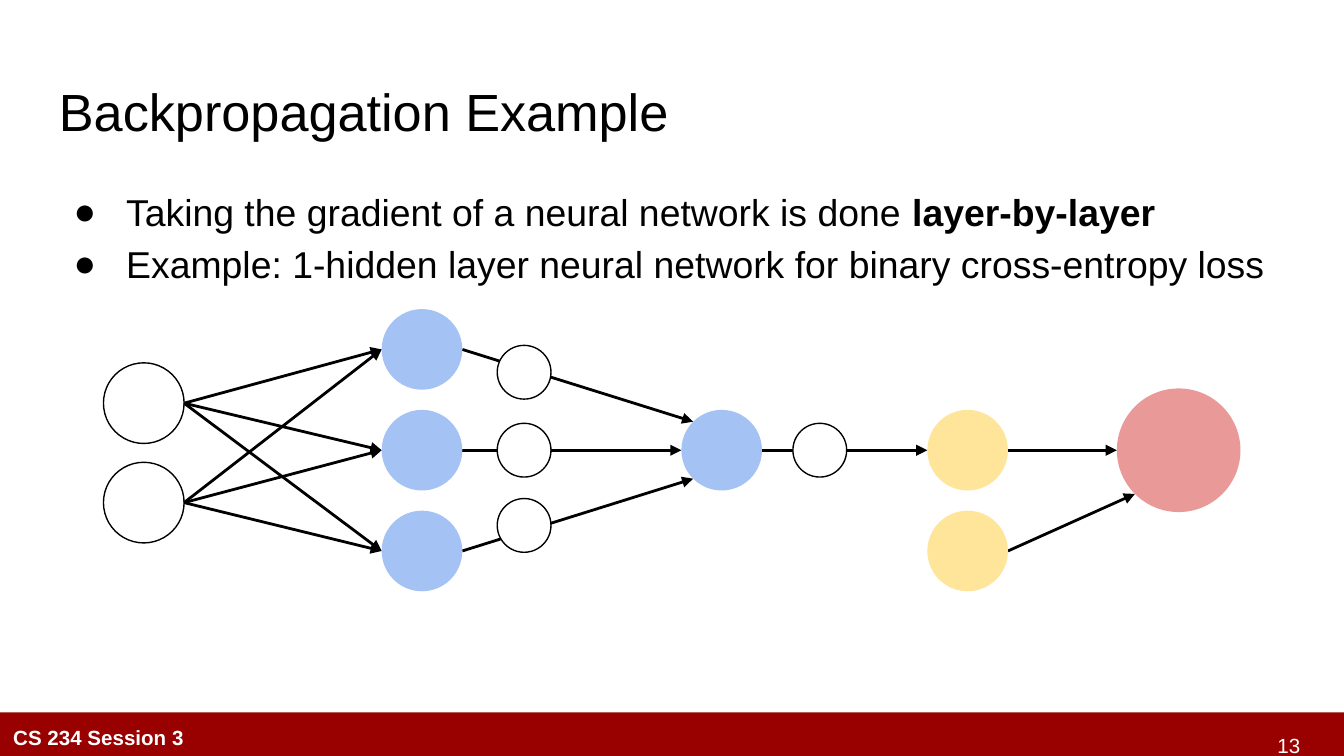
import math

import lxml.etree
import pptx
import pptx.dml.color
import pptx.enum.shapes
import pptx.enum.text
import pptx.oxml.ns
import pptx.util

Inches = pptx.util.Inches
Pt = pptx.util.Pt
Anchor = pptx.enum.text.MSO_ANCHOR
Align = pptx.enum.text.PP_ALIGN

THEME = {
    "font": "Arial", "title": 28, "body": 20, "footer": 11,
    "ink": "000000", "paper": "FFFFFF", "band": "990000",
    "neuron": "A4C2F4", "target": "FFE599", "loss": "EA9999",
    "outline": 0.75, "edge": 1.5,
}

TITLE = "Backpropagation Example"
BULLETS = [
    [("Taking the gradient of a neural network is done ", False), ("layer-by-layer", True)],
    [("Example: 1-hidden layer neural network for binary cross-entropy loss", False)],
]
SESSION = "CS 234 Session 3"
PAGE = "13"

SLIDE_WIDTH = 10
SLIDE_HEIGHT = SLIDE_WIDTH * 9 / 16

ROW, ROW_GAP = 3.35, 0.75
HIDDEN_ROWS = [ROW + step * ROW_GAP for step in (-1, 0, 1)]
INPUTS = [(1.07, 3.0, 0.6), (1.07, 3.74, 0.6)]
HIDDEN = [(3.14, y, 0.6) for y in HIDDEN_ROWS]
OUTPUT = (5.37, ROW, 0.6)
PREDICTION = (7.2, ROW, 0.6)
LABEL = (7.2, ROW + ROW_GAP, 0.6)
LOSS = (8.77, ROW, 0.92)
ACTIVATIONS = [(3.9, 2.77, 0.4), (3.9, ROW, 0.4), (3.9, 3.91, 0.4), (6.1, ROW, 0.4)]

LEFT, UPPER_LEFT, LOWER_LEFT = 180, 225, 135
EDGES = [(source, neuron, LEFT) for source in INPUTS for neuron in HIDDEN]
EDGES += [(neuron, OUTPUT, side) for neuron, side in zip(HIDDEN, (UPPER_LEFT, LEFT, LOWER_LEFT))]
EDGES += [(OUTPUT, PREDICTION, LEFT), (PREDICTION, LOSS, LEFT), (LABEL, LOSS, LOWER_LEFT)]

NODES = [(INPUTS, None, True), (HIDDEN + [OUTPUT], "neuron", False),
         ([PREDICTION, LABEL], "target", False), ([LOSS], "loss", False),
         (ACTIVATIONS, "paper", True)]


def color(role):
    return pptx.dml.color.RGBColor.from_string(THEME[role])


def add_child(parent, tag, **attributes):
    return lxml.etree.SubElement(parent, pptx.oxml.ns.qn(tag), attributes)


def add_text(slide, paragraphs, box, size, ink="ink", align=Align.LEFT,
             anchor=Anchor.TOP, bottom=0.1, spacing=1.0, bullet=None):
    frame = slide.shapes.add_textbox(*map(Inches, box)).text_frame
    frame.word_wrap = True
    frame.vertical_anchor = anchor
    frame.margin_left = frame.margin_right = frame.margin_top = Inches(0.1)
    frame.margin_bottom = Inches(bottom)
    for index, runs in enumerate(paragraphs):
        paragraph = frame.add_paragraph() if index else frame.paragraphs[0]
        paragraph.alignment = align
        paragraph.line_spacing = spacing
        if bullet:
            properties = paragraph._p.get_or_add_pPr()
            properties.set("marL", str(Inches(0.5)))
            properties.set("indent", str(Inches(-0.39)))
            add_child(add_child(properties, "a:buClr"), "a:srgbClr", val=THEME[ink])
            add_child(properties, "a:buFont", typeface=THEME["font"])
            add_child(properties, "a:buChar", char=bullet)
        for text, bold in runs:
            run = paragraph.add_run()
            run.text = text
            run.font.name = THEME["font"]
            run.font.size = Pt(THEME[size])
            run.font.bold = bold
            run.font.color.rgb = color(ink)


def add_filled(slide, preset, box, fill, outlined=False):
    shape = slide.shapes.add_shape(preset, *map(Inches, box))
    shape.shadow.inherit = False
    if fill:
        shape.fill.solid()
        shape.fill.fore_color.rgb = color(fill)
    else:
        shape.fill.background()
    if outlined:
        shape.line.color.rgb = color("ink")
        shape.line.width = Pt(THEME["outline"])
    else:
        shape.line.fill.background()


def rim(node, degrees):
    x, y, diameter = node
    angle = math.radians(degrees)
    return (Inches(x + diameter / 2 * math.cos(angle)),
            Inches(y + diameter / 2 * math.sin(angle)))


def add_edge(slide, source, goal, side):
    edge = slide.shapes.add_connector(
        pptx.enum.shapes.MSO_CONNECTOR.STRAIGHT, *rim(source, 0), *rim(goal, side))
    edge.line.color.rgb = color("ink")
    edge.line.width = Pt(THEME["edge"])
    add_child(edge.line._get_or_add_ln(), "a:tailEnd", type="triangle")
    add_child(edge._element.spPr, "a:effectLst")


def main():
    """Build the backpropagation example slide."""
    deck = pptx.Presentation()
    deck.slide_width, deck.slide_height = Inches(SLIDE_WIDTH), Inches(SLIDE_HEIGHT)
    slide = deck.slides.add_slide(deck.slide_layouts[6])
    presets = pptx.enum.shapes.MSO_SHAPE

    add_filled(slide, presets.RECTANGLE, (-0.02, 5.3, 10.07, 0.35), "band")
    add_text(slide, [[(TITLE, False)]], (0.34, 0.49, 9.32, 0.63), "title")
    add_text(slide, [[(PAGE, False)]], (9.23, 5.29, 0.72, 0.35), "footer", ink="paper",
             align=Align.CENTER, anchor=Anchor.BOTTOM, bottom=0)
    add_text(slide, [[(SESSION, True)]], (0, 5.31, 3.14, 0.35), "footer", ink="paper",
             anchor=Anchor.MIDDLE)
    add_text(slide, BULLETS, (0.34, 1.26, 9.32, 3.74), "body", spacing=1.15, bullet="●")

    for source, goal, side in EDGES:
        add_edge(slide, source, goal, side)
    for nodes, fill, outlined in NODES:
        for x, y, diameter in nodes:
            box = (x - diameter / 2, y - diameter / 2, diameter, diameter)
            add_filled(slide, presets.OVAL, box, fill, outlined)

    deck.save("out.pptx")


if __name__ == "__main__":
    main()
